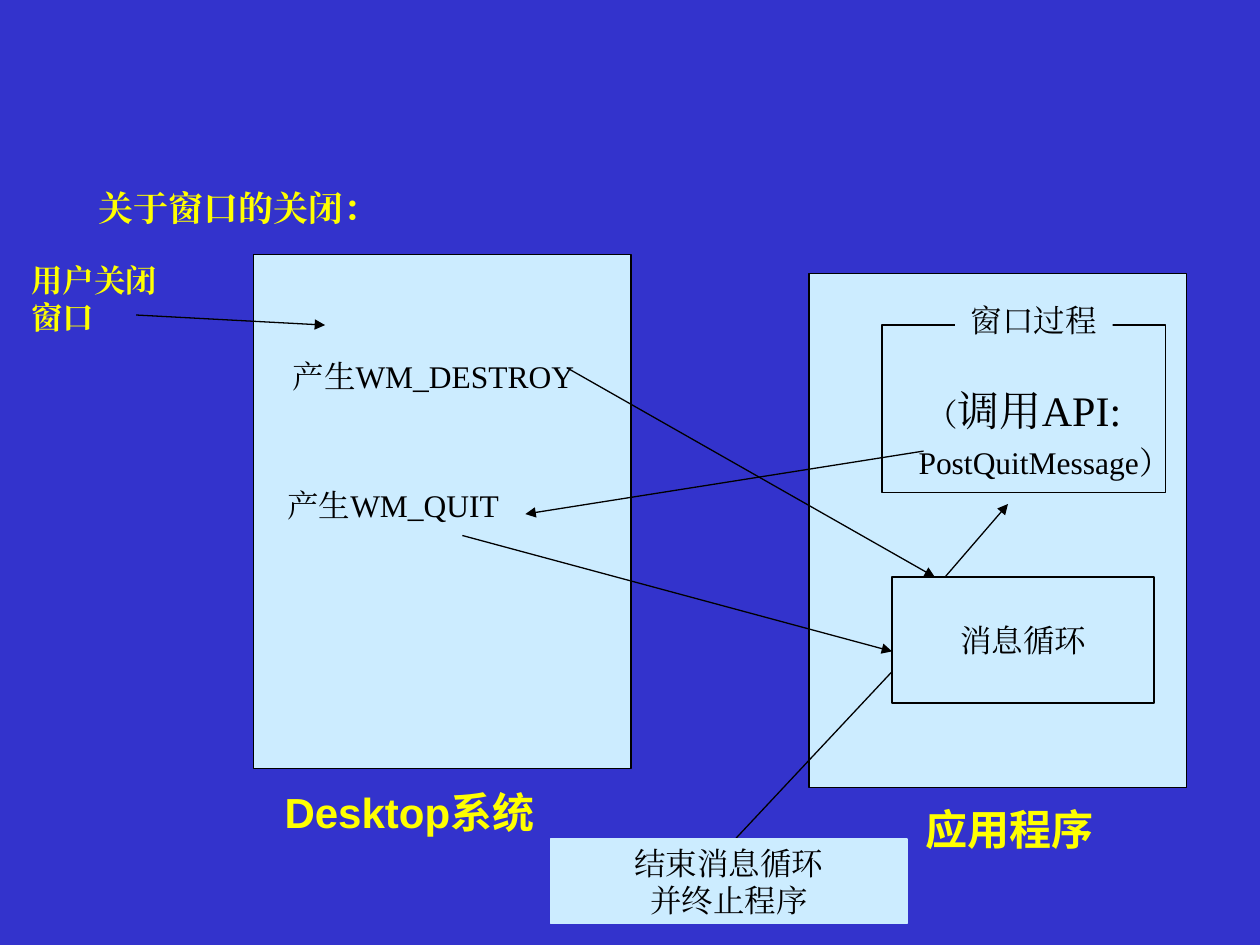
from lxml import etree
from pptx import Presentation
from pptx.dml.color import RGBColor
from pptx.enum import shapes, text
from pptx.oxml import ns
from pptx.util import Inches, Pt

COLORS = {"background": "3333CC", "panel": "CCECFF", "ink": "000000", "heading": "FFFF00"}
SERIF = "Times New Roman"


def write(part, lines, size, color, font=SERIF, bold=False, align=text.PP_ALIGN.LEFT, wrap=False):
    frame = part.text_frame
    frame.text = lines
    frame.word_wrap = wrap
    for paragraph in frame.paragraphs:
        paragraph.alignment = align
        for run in paragraph.runs:
            run.font.size = Pt(size)
            run.font.bold = bold
            run.font.name = font
            run.font.color.rgb = RGBColor.from_string(COLORS[color])
            east_asian = etree.SubElement(run._r.get_or_add_rPr(), ns.qn("a:ea"))
            east_asian.set("typeface", font)


def add_box(left, top, width, height, outline, label=""):
    box = slide.shapes.add_shape(
        shapes.MSO_SHAPE.RECTANGLE, Inches(left), Inches(top), Inches(width), Inches(height))
    box.shadow.inherit = False
    box.fill.solid()
    box.fill.fore_color.rgb = RGBColor.from_string(COLORS["panel"])
    if outline:
        box.line.color.rgb = RGBColor.from_string(COLORS[outline])
        box.line.width = Pt(0.75)
    else:
        box.line.fill.background()
    if label:
        box.text_frame.vertical_anchor = text.MSO_ANCHOR.MIDDLE
        write(box, label, 18, "ink", align=text.PP_ALIGN.CENTER)
    return box


deck = Presentation()
deck.slide_width, deck.slide_height = Inches(10), Inches(7.5)
slide = deck.slides.add_slide(deck.slide_layouts[6])
slide.background.fill.solid()
slide.background.fill.fore_color.rgb = RGBColor.from_string(COLORS["background"])

for left, top in [(2.01, 2.02), (6.42, 2.17)]:
    add_box(left, top, 3, 4.08, "ink")

headings = [
    ("关于窗口的关闭：", 0.68, 1.43, 8.82, 0.42, 20, SERIF),
    ("Desktop系统", 2.16, 6.19, 2.75, 0.5, 24, "Arial"),
    ("应用程序", 7.25, 6.33, 1.92, 0.5, 24, "Arial"),
    ("用户关闭\n窗口", 0.15, 2.02, 1.2, 0.7, 18, SERIF),
]
for words, left, top, width, height, size, font in headings:
    heading = slide.shapes.add_textbox(Inches(left), Inches(top), Inches(width), Inches(height))
    write(heading, words, size, "heading", font, bold=True, wrap="\n" not in words)

add_box(2.4, 2.65, 2.08, 0.67, "panel", "产生WM_DESTROY")
procedure = add_box(7, 2.58, 2.25, 1.33, "ink", "（\nPostQuitMessage）")
procedure.text_frame.vertical_anchor = text.MSO_ANCHOR.BOTTOM
procedure.text_frame.margin_bottom = Inches(0.09)
api_line, quit_line = procedure.text_frame.paragraphs
api_call = api_line.add_run()
api_call.text = "调用API:"
api_call.font.size = Pt(24)
api_call.font.name = SERIF
api_call.font.color.rgb = RGBColor.from_string(COLORS["ink"])
quit_line.space_before = Pt(5)
quit_line._p.get_or_add_pPr().set("marL", str(Inches(0.33)))
add_box(2.08, 3.67, 2.08, 0.67, "panel", "产生WM_QUIT")
add_box(7.08, 4.58, 2.08, 1, "ink", "消息循环")

messages = [
    (1.08, 2.5, 2.58, 2.58),
    (7.33, 3.58, 4.17, 4.08),
    (4.5, 2.92, 7.42, 4.58),
    (7.5, 4.58, 8, 4),
    (3.67, 4.25, 7.08, 5.17),
    (7.08, 5.33, 5.75, 6.75),
]
for ends in messages:
    arrow = slide.shapes.add_connector(shapes.MSO_CONNECTOR.STRAIGHT, *map(Inches, ends))
    arrow.line.color.rgb = RGBColor.from_string(COLORS["ink"])
    arrow.line.width = Pt(0.75)
    etree.SubElement(arrow.line._get_or_add_ln(), ns.qn("a:tailEnd")).set("type", "triangle")
    etree.SubElement(arrow._element.spPr, ns.qn("a:effectLst"))

add_box(4.37, 6.66, 2.83, 0.67, "panel", "结束消息循环\n并终止程序")
add_box(7.58, 2.33, 1.25, 0.42, None, "窗口过程")

deck.save("out.pptx")
